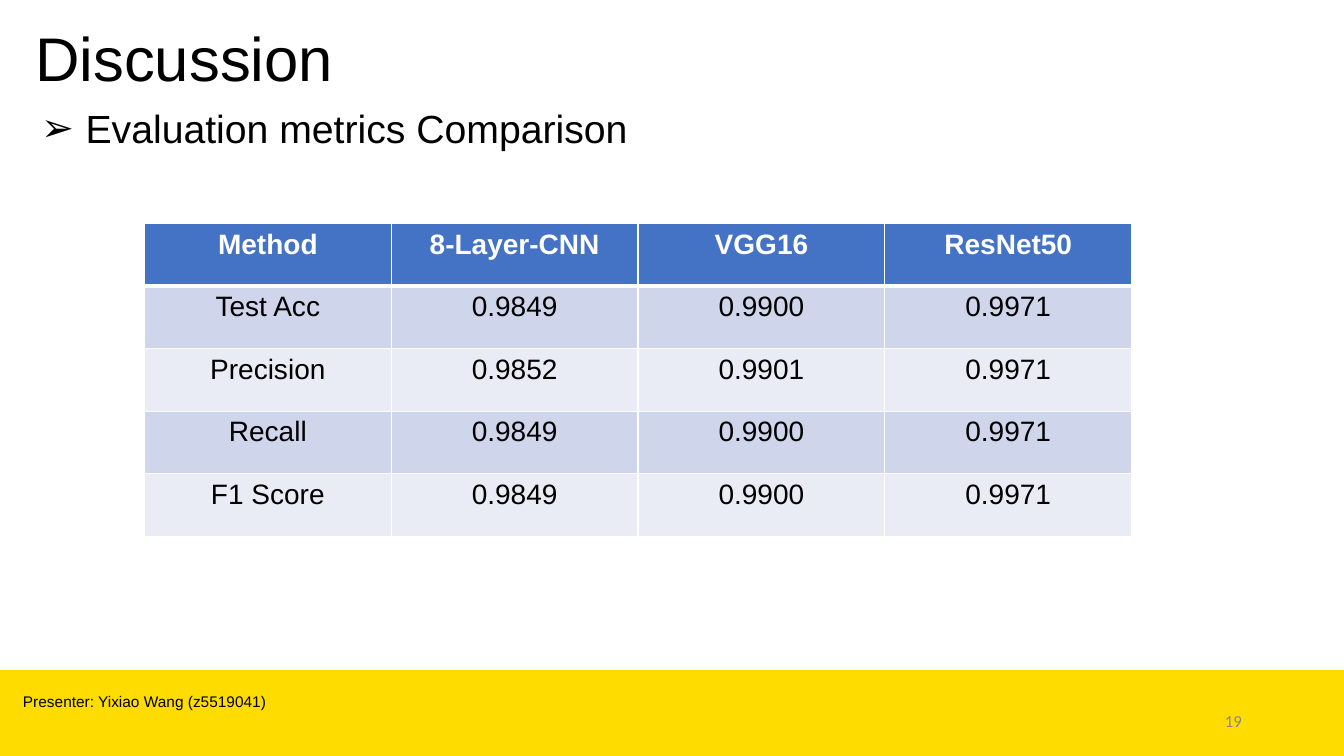
from lxml import etree
from pptx import Presentation
from pptx.dml.color import RGBColor
from pptx.enum.shapes import MSO_SHAPE
from pptx.enum.text import MSO_ANCHOR, PP_ALIGN
from pptx.oxml.ns import qn
from pptx.util import Cm, Pt

RECTANGLE = MSO_SHAPE.RECTANGLE
TOP, MIDDLE = MSO_ANCHOR.TOP, MSO_ANCHOR.MIDDLE
LEFT, CENTER, RIGHT = PP_ALIGN.LEFT, PP_ALIGN.CENTER, PP_ALIGN.RIGHT

BLACK = RGBColor(0x00, 0x00, 0x00)
WHITE = RGBColor(0xFF, 0xFF, 0xFF)
GRAY = RGBColor(0x88, 0x88, 0x88)
YELLOW = RGBColor(0xFF, 0xDC, 0x00)
BLUE = RGBColor(0x44, 0x72, 0xC4)
BAND_DARK = RGBColor(0xCF, 0xD5, 0xEA)
BAND_LIGHT = RGBColor(0xE9, 0xEB, 0xF5)

SLIDE_WIDTH, SLIDE_HEIGHT = 33.87, 19.05
FOOTER_HEIGHT = 2.16

METRICS = [
    ("Method", "8-Layer-CNN", "VGG16", "ResNet50"),
    ("Test Acc", "0.9849", "0.9900", "0.9971"),
    ("Precision", "0.9852", "0.9901", "0.9971"),
    ("Recall", "0.9849", "0.9900", "0.9971"),
    ("F1 Score", "0.9849", "0.9900", "0.9971"),
]


def write(frame, text, size=20, font="Arial", color=BLACK, bold=False,
          align=LEFT, line_spacing=None, bullet=None):
    paragraph = frame.paragraphs[0]
    paragraph.alignment = align
    if line_spacing:
        paragraph.line_spacing = line_spacing
    if bullet:
        properties = paragraph._p.get_or_add_pPr()
        properties.set("marL", str(Cm(1.27)))
        properties.set("indent", str(-Cm(1.12)))
        bullet_color = etree.SubElement(properties, qn("a:buClr"))
        etree.SubElement(bullet_color, qn("a:srgbClr"), val=str(color))
        etree.SubElement(properties, qn("a:buFont"), typeface="Arial")
        etree.SubElement(properties, qn("a:buChar"), char=bullet)
    run = paragraph.add_run()
    run.text = text
    run.font.size = Pt(size)
    run.font.name = font
    run.font.bold = bold
    run.font.color.rgb = color


class SlideBuilder:
    def __init__(self, slide):
        self.slide = slide

    def band(self, left, top, width, height, color):
        band = self.slide.shapes.add_shape(
            RECTANGLE, Cm(left), Cm(top), Cm(width), Cm(height))
        band.shadow.inherit = False
        band.fill.solid()
        band.fill.fore_color.rgb = color
        band.line.fill.background()

    def text(self, text, left, top, width, height, anchor=TOP,
             inset=0.13, **style):
        box = self.slide.shapes.add_textbox(
            Cm(left), Cm(top), Cm(width), Cm(height))
        frame = box.text_frame
        frame.word_wrap = True
        frame.vertical_anchor = anchor
        frame.margin_left = frame.margin_right = Cm(0.25)
        frame.margin_top = frame.margin_bottom = Cm(inset)
        write(frame, text, **style)

    def border(self, cell, side, width):
        line = etree.SubElement(cell._tc.get_or_add_tcPr(),
                                qn(f"a:ln{side}"), w=str(Pt(width)))
        fill = etree.SubElement(line, qn("a:solidFill"))
        etree.SubElement(fill, qn("a:srgbClr"), val=str(WHITE))

    def table(self, rows, left, top, width, height):
        table = self.slide.shapes.add_table(
            len(rows), len(rows[0]),
            Cm(left), Cm(top), Cm(width), Cm(height)).table
        for r, row in enumerate(rows):
            header = r == 0
            fill = BLUE if header else BAND_DARK if r % 2 else BAND_LIGHT
            widths = {"L": 1, "R": 1, "T": 3 if r == 1 else 1,
                      "B": 3 if header else 1}
            for c, value in enumerate(row):
                cell = table.cell(r, c)
                for side, line_width in widths.items():
                    self.border(cell, side, line_width)
                cell.fill.solid()
                cell.fill.fore_color.rgb = fill
                write(cell.text_frame, value, align=CENTER, bold=header,
                      color=WHITE if header else BLACK)


def main():
    deck = Presentation()
    deck.slide_width = Cm(SLIDE_WIDTH)
    deck.slide_height = Cm(SLIDE_HEIGHT)
    discussion = SlideBuilder(deck.slides.add_slide(deck.slide_layouts[6]))

    discussion.band(0, SLIDE_HEIGHT - FOOTER_HEIGHT, SLIDE_WIDTH,
                    FOOTER_HEIGHT, YELLOW)
    discussion.text("Discussion", 0.64, 0.38, 32.31, 2.34, anchor=MIDDLE,
                    size=44, line_spacing=0.9)
    discussion.text("19", 23.93, 17.65, 7.62, 1.02, anchor=MIDDLE,
                    size=12, font="Calibri", color=GRAY, align=RIGHT)
    discussion.text("Presenter: Yixiao Wang (z5519041)",
                    0.33, 17.3, 20.35, 0.74, size=11)
    discussion.text("Evaluation metrics Comparison", 0.64, 2.39, 18.8, 0.84,
                    inset=0.25, size=28, bullet="➢")
    discussion.table(METRICS, 3.64, 5.64, 24.88, 7.87)

    deck.save("out.pptx")


if __name__ == "__main__":
    main()
